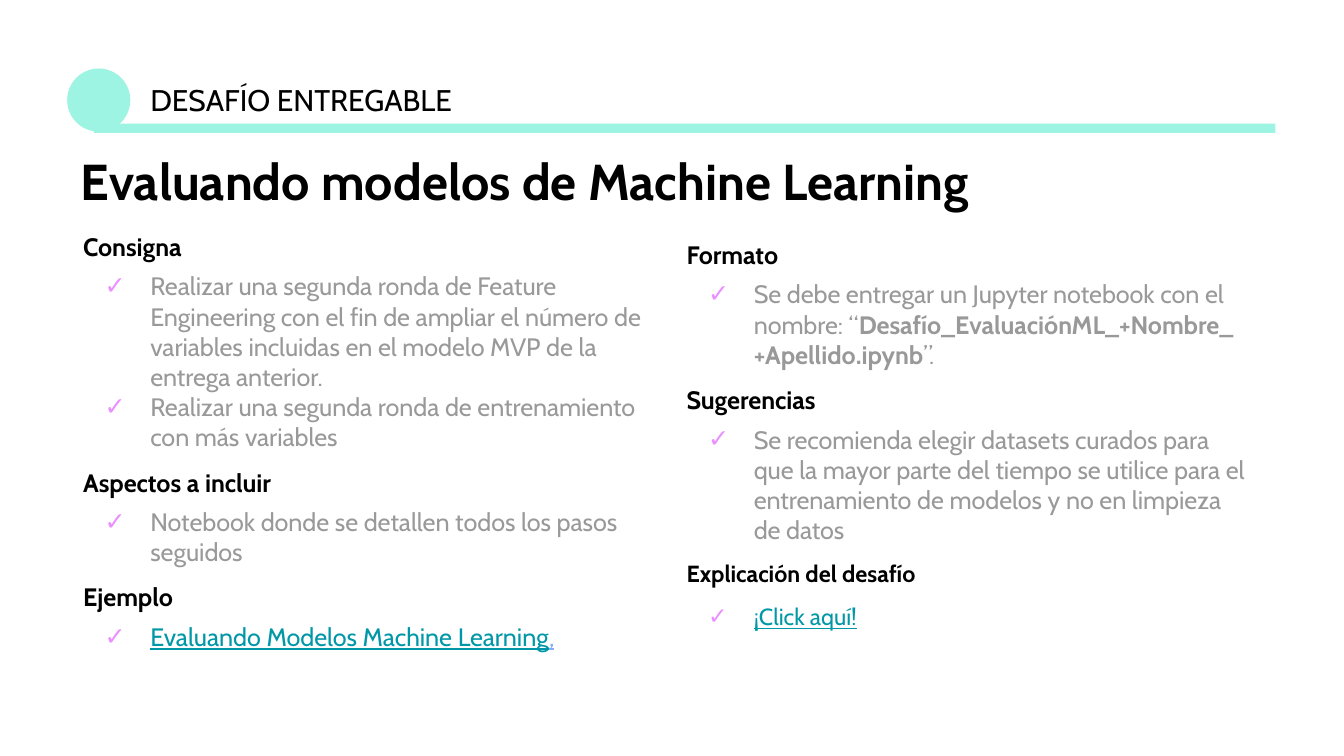
from lxml import etree
from pptx import Presentation
from pptx.dml.color import RGBColor
from pptx.enum import shapes, text
from pptx.oxml import ns
from pptx.util import Inches, Pt

COLORS = {"mint": "9DF4E2", "black": "000000", "gray": "999999",
          "check": "EA90FF", "link": "0097A7", "comma": "83AEFB"}
FONT = "Cabin"
BODY = {"size": 13.5, "color": "gray"}
BOLD = {**BODY, "bold": True}
HEAD = {**BOLD, "color": "black"}
LINK = {**BODY, "color": "link", "underline": True}

# Each section: heading, heading format, gap below it, bullets made of runs
LEFT = [
    ("Consigna", HEAD, 5, [
        [("Realizar una segunda ronda de Feature Engineering con el fin de "
          "ampliar el número de variables incluidas en el modelo MVP de la "
          "entrega anterior.", BODY)],
        [("Realizar una segunda ronda de entrenamiento con más variables", BODY)]]),
    ("Aspectos a incluir", HEAD, 5, [
        [("Notebook donde se detallen todos los pasos seguidos", BODY)]]),
    ("Ejemplo", HEAD, 5, [
        [("Evaluando Modelos Machine Learning", LINK),
         (",", {**LINK, "color": "comma"})]]),
]
RIGHT = [
    ("Formato", HEAD, 5, [
        [("Se debe entregar un Jupyter notebook con el nombre: “", BODY),
         ("Desafío_EvaluaciónML_+Nombre_ +Apellido.ipynb", BOLD),
         ("”.", BODY)]]),
    ("Sugerencias", HEAD, 5, [
        [("Se recomienda elegir datasets curados para que la mayor parte del "
          "tiempo se utilice para el entrenamiento de modelos y no en limpieza "
          "de datos", BODY)]]),
    ("Explicación del desafío", {**HEAD, "size": 12.5}, 8, [
        [("¡Click aquí!", {**LINK, "size": 12.5})]]),
]


def add_run(p, content, size, color, bold=False, underline=False):
    r = p.add_run()
    r.text = content
    values = {"name": FONT, "size": Pt(size), "bold": bold, "underline": underline}
    for name, value in values.items():
        setattr(r.font, name, value)
    r.font.color.rgb = RGBColor.from_string(COLORS[color])


def set_frame(tf):
    values = {"word_wrap": True, "auto_size": text.MSO_AUTO_SIZE.NONE,
              "vertical_anchor": text.MSO_ANCHOR.TOP}
    values.update({f"margin_{side}": Inches(0.1)
                   for side in ("left", "right", "top", "bottom")})
    for name, value in values.items():
        setattr(tf, name, value)
    return tf


def add_text_box(s, x, y, w, h):
    box = s.shapes.add_textbox(Inches(x), Inches(y), Inches(w), Inches(h))
    return set_frame(box.text_frame)


def add_check(p):
    pPr = p._p.get_or_add_pPr()
    pPr.set("marL", str(Inches(0.5)))
    pPr.set("indent", str(Inches(-0.34)))
    color = etree.SubElement(pPr, ns.qn("a:buClr"))
    etree.SubElement(color, ns.qn("a:srgbClr"), val=COLORS["check"])
    etree.SubElement(pPr, ns.qn("a:buFont"), typeface=FONT)
    etree.SubElement(pPr, ns.qn("a:buChar"), char="✓")


def add_mint_shape(s, kind, x, y, w, h):
    sp = s.shapes.add_shape(kind, Inches(x), Inches(y), Inches(w), Inches(h))
    sp.shadow.inherit = False
    sp.fill.solid()
    sp.fill.fore_color.rgb = RGBColor.from_string(COLORS["mint"])
    sp.line.fill.background()


def add_banner(s, x, y, w, h):
    """Circle, label and rule across the top."""
    add_mint_shape(s, shapes.MSO_SHAPE.OVAL, x, y, h, h)
    add_mint_shape(s, shapes.MSO_SHAPE.RECTANGLE, x + 0.2, y + 0.41, w - 0.2, 0.07)
    tf = add_text_box(s, x + 0.52, y, 2.69, h)
    add_run(tf.paragraphs[0], "DESAFÍO ENTREGABLE", 16, "black")


def add_title(s, x, y, w, h):
    title = s.shapes.title
    values = {"left": x, "top": y, "width": w, "height": h}
    for name, value in values.items():
        setattr(title, name, Inches(value))
    p = set_frame(title.text_frame).paragraphs[0]
    p.alignment = text.PP_ALIGN.LEFT
    p.line_spacing = 0.9
    add_run(p, "Evaluando modelos de Machine Learning", 27, "black", bold=True)


def add_column(s, x, y, w, h, sections):
    """Headings, each followed by its checked items."""
    tf = add_text_box(s, x, y, w, h)
    for i, (heading, style, gap, items) in enumerate(sections):
        p = tf.add_paragraph() if i else tf.paragraphs[0]
        p.space_before = Pt(8 if i else 0)
        p.space_after = Pt(gap)
        add_run(p, heading, **style)
        for runs in items:
            p = tf.add_paragraph()
            add_check(p)
            for content, fmt in runs:
                add_run(p, content, **fmt)


def main():
    prs = Presentation()
    # Widescreen, 16:9
    prs.slide_width = Inches(10)
    prs.slide_height = prs.slide_width * 9 // 16
    s = prs.slides.add_slide(prs.slide_layouts[5])
    add_banner(s, 0.5, 0.51, 8.99, 0.47)
    add_title(s, 0.5, 1.07, 8.7, 0.61)
    add_column(s, 0.52, 1.62, 4.41, 3.36, LEFT)
    add_column(s, 5.01, 1.68, 4.41, 3.71, RIGHT)
    prs.save("out.pptx")


if __name__ == "__main__":
    main()
